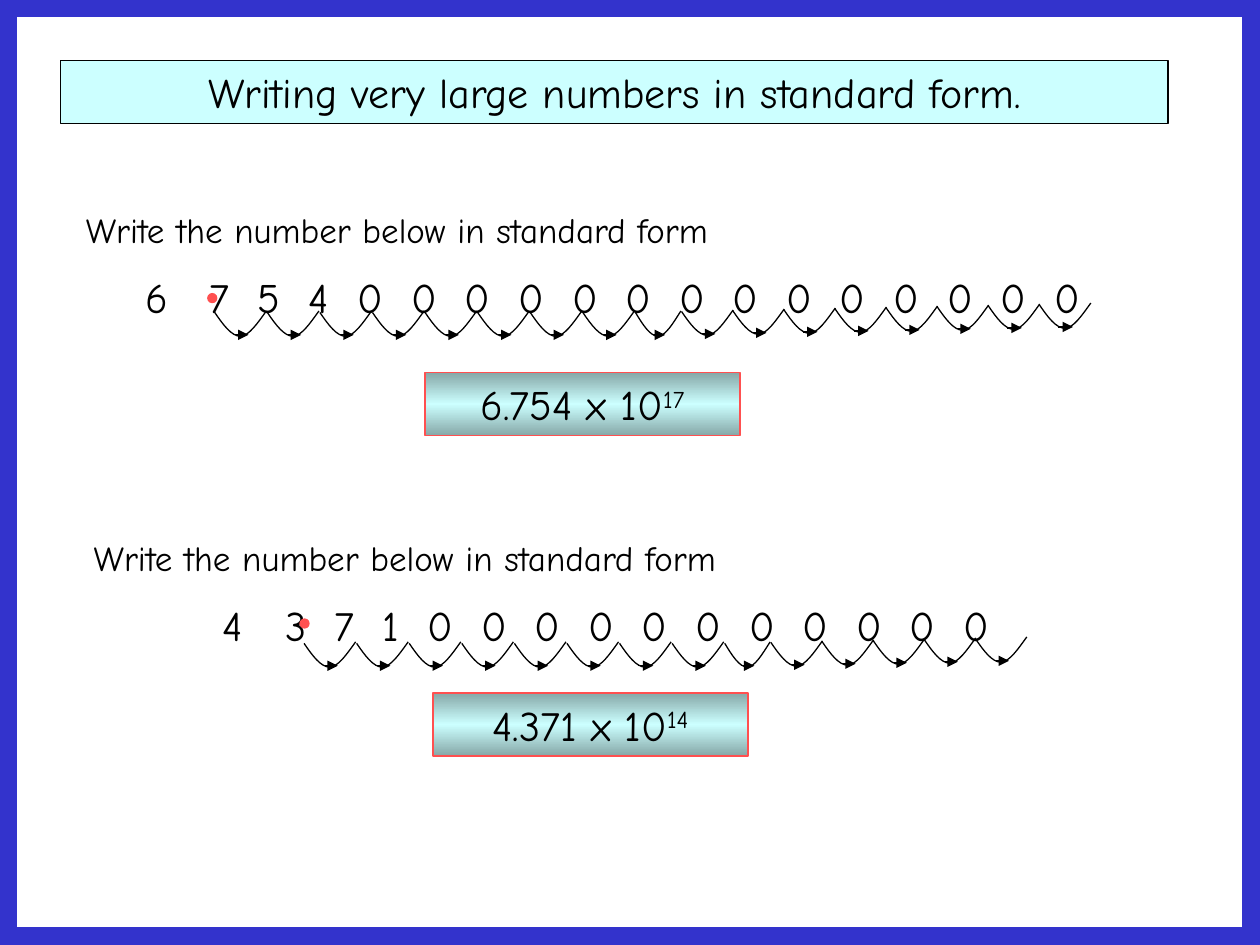
"""Build a slide on writing very large numbers in standard form."""
from copy import deepcopy

from lxml import etree
from pptx import Presentation
from pptx import util as u
from pptx.dml import color
from pptx.enum import shapes, text
from pptx.oxml import ns

HUES = {
    "ink": "000000", "pale": "CCFFFF", "shade": "86A8A8",
    "red": "FF5050", "frame": "3333CC",
}
BOX = {"word_wrap": True, "auto_size": text.MSO_AUTO_SIZE.SHAPE_TO_FIT_TEXT,
       "vertical_anchor": text.MSO_ANCHOR.TOP}
PROMPT = "Write the number below in standard form"
LONG, SHORT, NEXT = 1.06, 0.93, 1.03
BEND = 8
DROP = 0.02
CURVE = ((0, 0.03), (0.17, 0.28), (0.34, 0.51), (0.52, 0.51),
         (0.69, 0.5), (0.86, 0.25), (1.04, 0))

SUMS = (
    {"ask": (1.48, 4.07), "row": (1.34, 5.35), "digits": "6754" + "0" * 14,
     "tabs": (1.57, 2.84, 3.83, 4.83, 5.88), "hop": (4.33, 6.27),
     "dot": (4.19, 5.92), "box": (8.57, 7.51), "answer": ("6.754 x 10", "17")},
    {"ask": (1.64, 10.69), "row": (1.49, 11.96), "digits": "4371" + "0" * 11,
     "tabs": (2.96, 4.23, 5.21, 6.13, 7.14), "hop": (6.13, 12.94),
     "dot": (6.05, 12.48), "box": (8.73, 13.97), "answer": ("4.371 x 10", "14")},
)


def hue(name):
    """Return the named colour."""
    return color.RGBColor.from_string(HUES[name])


def apply(thing, form):
    """Set each attribute in the format dict."""
    for key, val in form.items():
        setattr(thing, key, val)


def stroke(item, name, width=0.75):
    """Give an item a solid line."""
    item.line.color.rgb = hue(name)
    item.line.width = u.Pt(width)


def write(frame, words, size, align, power="", tabs=()):
    """Write one paragraph, with optional tab stops and a power."""
    apply(frame, BOX)
    para = frame.paragraphs[0]
    para.alignment = align
    if tabs:
        stops = etree.SubElement(para._p.get_or_add_pPr(), ns.qn("a:tabLst"))
        for tab in tabs:
            etree.SubElement(stops, ns.qn("a:tab"), pos=str(u.Cm(tab)), algn="ctr")
    for part in filter(None, (words, power)):
        run = para.add_run()
        run.text = part
        apply(run.font, {"name": "Comic Neue", "size": u.Pt(size)})
        run.font.color.rgb = hue("ink")
        if part == power:
            run._r.get_or_add_rPr().set("baseline", "30000")


def label(slide, spot, size, words, points, tabs=()):
    """Add a plain left-aligned text box."""
    box = slide.shapes.add_textbox(*map(u.Cm, spot + size))
    write(box.text_frame, words, points, text.PP_ALIGN.LEFT, tabs=tabs)


def shape(slide, kind, spot, size, line, fill=None, width=0.75):
    """Add a preset shape with a line and an optional fill."""
    item = slide.shapes.add_shape(kind, *map(u.Cm, spot + size))
    item.shadow.inherit = False
    stroke(item, line, width)
    if fill:
        item.fill.solid()
        item.fill.fore_color.rgb = hue(fill)
    else:
        item.fill.background()
    return item


def blend(item):
    """Fill a shape with a vertical dark, pale, dark gradient."""
    item.fill.gradient()
    item.fill.gradient_angle = 90
    stops = item._element.spPr.find(".//" + ns.qn("a:gsLst"))
    stops.append(deepcopy(stops[0]))
    for stop, name, place in zip(item.fill.gradient_stops,
                                 ("shade", "pale", "shade"), (0, 0.5, 1)):
        stop.color.rgb = hue(name)
        stop.position = place


def bend(item):
    """Turn each three straight segments of an outline into a cubic curve."""
    lines = item._element.findall(".//" + ns.qn("a:lnTo"))
    for first in range(0, len(lines), 3):
        cubic = etree.Element(ns.qn("a:cubicBezTo"))
        lines[first].addprevious(cubic)
        for line in lines[first:first + 3]:
            cubic.append(line[0])
            line.getparent().remove(line)


def hop(slide, left, top, scale):
    """Draw one hop of the decimal point with its arrow."""
    def place(point):
        return u.Cm(left + point[0] * scale), u.Cm(top + point[1])

    pen = slide.shapes.build_freeform(*place(CURVE[0]))
    pen.add_line_segments([place(p) for p in CURVE[1:]], close=False)
    arc = pen.convert_to_shape()
    bend(arc)
    arc.shadow.inherit = False
    arc.fill.background()
    stroke(arc, "ink")
    arrow = slide.shapes.add_connector(
        shapes.MSO_CONNECTOR.STRAIGHT, *place((0.38, 0.48)), *place((0.68, 0.48)))
    stroke(arrow, "ink")
    props = arrow._element.spPr
    etree.SubElement(props.find(ns.qn("a:ln")), ns.qn("a:tailEnd"), type="triangle")
    etree.SubElement(props, ns.qn("a:effectLst"))


def hops(slide, spot, count):
    """Draw a chain of hops that rises slightly after the bend."""
    left, top = spot
    for i in range(count):
        rise = DROP * max(0, i - BEND)
        hop(slide, left, top - rise, 0.88 if i == BEND else 1)
        left += LONG if i < BEND else SHORT if i == BEND else NEXT


def solve(slide, case):
    """Add a prompt, its number with hops, and the answer."""
    digits, tabs = case["digits"], case["tabs"]
    zeros = len(digits) - len(tabs)
    stops = tabs + tuple(tabs[-1] + 1.08 * i for i in range(1, zeros + 1))
    label(slide, case["row"], (22.33, 1.27), "\t" + "\t".join(digits), 24, stops)
    label(slide, case["ask"], (18.62, 1.12), PROMPT, 20)
    hops(slide, case["hop"], len(digits) - 1)
    shape(slide, shapes.MSO_SHAPE.OVAL, case["dot"], (0.18, 0.18), "red", "red")
    box = shape(slide, shapes.MSO_SHAPE.RECTANGLE, case["box"], (6.35, 1.27), "red")
    blend(box)
    base, power = case["answer"]
    write(box.text_frame, base, 24, text.PP_ALIGN.CENTER, power)


def main():
    """Build and save the slide."""
    deck = Presentation()
    apply(deck, {"slide_width": u.Cm(25.4), "slide_height": u.Cm(19.05)})
    slide = deck.slides.add_slide(deck.slide_layouts[6])
    rect = shapes.MSO_SHAPE.RECTANGLE
    title = shape(slide, rect, (1.22, 1.22), (22.33, 1.27), "ink", "pale")
    write(title.text_frame, "Writing very large numbers in standard form.", 24,
          text.PP_ALIGN.CENTER)
    for case in SUMS:
        solve(slide, case)
    shape(slide, rect, (0, 0), (25.4, 19.05), "frame", width=20)
    deck.save("out.pptx")


if __name__ == "__main__":
    main()
